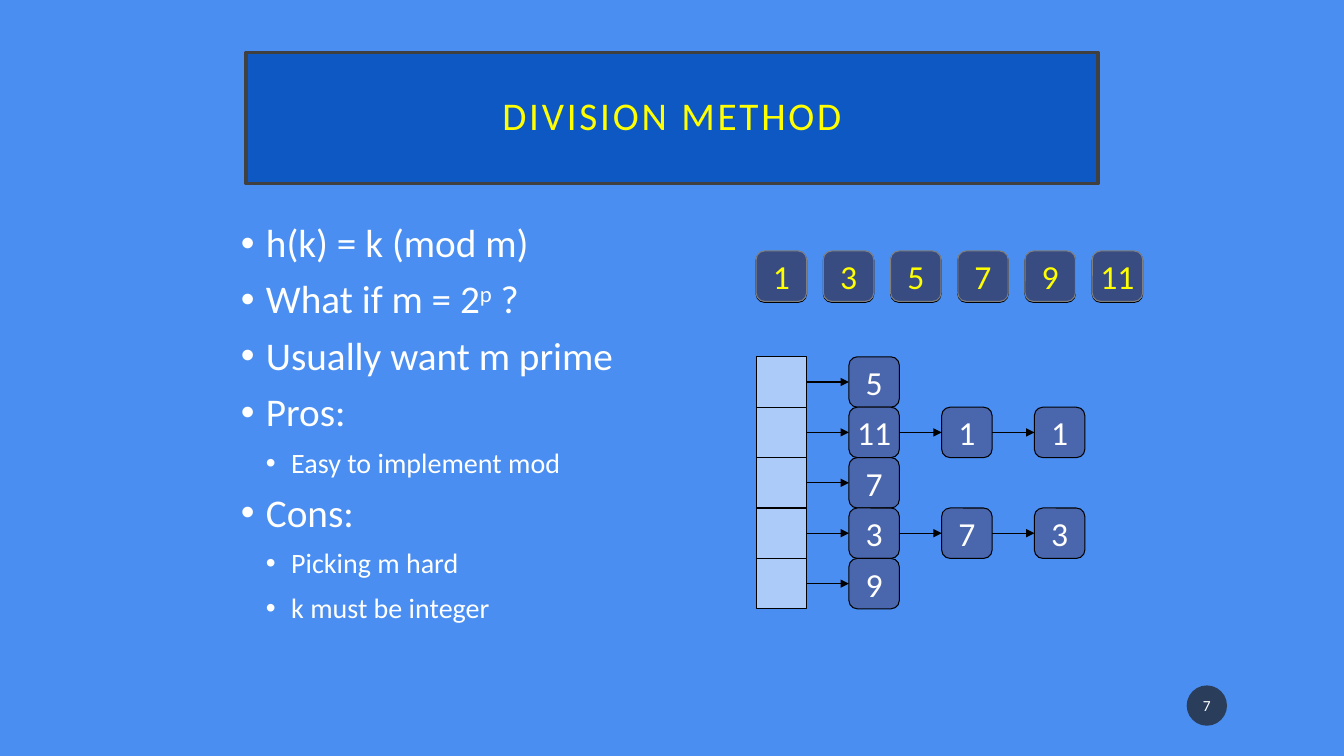
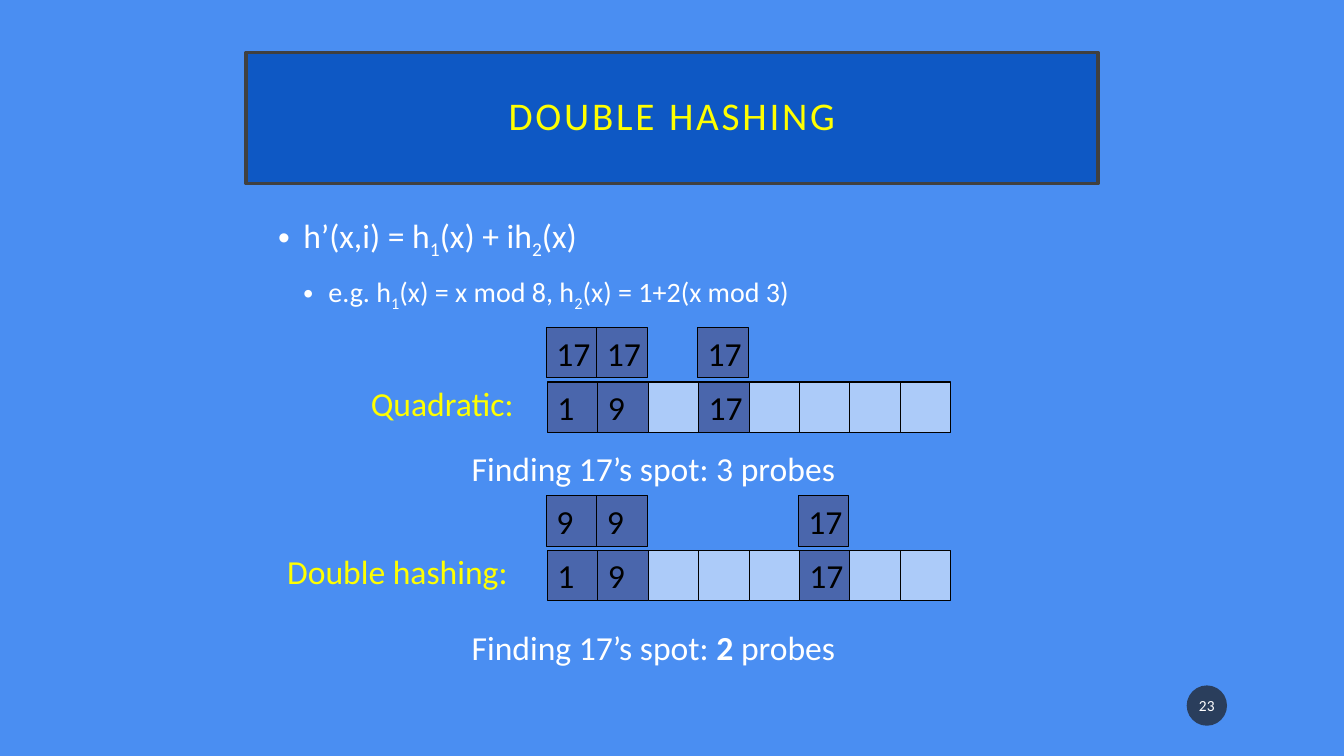
from dataclasses import dataclass

from lxml.etree import SubElement
from pptx import Presentation
from pptx.dml.color import RGBColor as Rgb
from pptx.enum.shapes import MSO_CONNECTOR as Connector, MSO_SHAPE as Shape
from pptx.enum.text import MSO_ANCHOR as Anchor, PP_ALIGN as Align
from pptx.oxml.ns import qn
from pptx.util import Inches, Pt


@dataclass(frozen=True)
class Theme:
    font: str = "Calibri"
    background: str = "4A8EF2"
    band: str = "0E58C4"
    band_edge: str = "404040"
    accent: str = "FFFF00"
    light: str = "FFFFFF"
    dark: str = "000000"
    empty_cell: str = "ACCBF9"
    filled_cell: str = "4A66AC"
    key: str = "384C81"
    key_edge: str = "7F7F7F"
    badge: str = "1D1D1D"
    large: int = 28
    normal: int = 24
    small: int = 20
    tiny: int = 11


THEME = Theme()
CELL = 0.5
BASELINES = {"sup": "30000", "sub": "-25000"}


def write(frame, *lines, size=THEME.normal, color=THEME.light, align=Align.LEFT,
          anchor=Anchor.TOP, margins=(0.1, 0.05, 0.1, 0.05), wrap=True,
          spacing=None, tracking=None, bullets=False):
    """Each line is a string or (level, run, ...); a run is a string or (string, mark)."""
    frame.word_wrap = wrap
    frame.vertical_anchor = anchor
    (frame.margin_left, frame.margin_top,
     frame.margin_right, frame.margin_bottom) = map(Inches, margins)
    for index, line in enumerate(lines):
        level, *runs = (0, line) if isinstance(line, str) else line
        paragraph = frame.add_paragraph() if index else frame.paragraphs[0]
        if bullets:
            props = paragraph._p.get_or_add_pPr()
            props.set("marL", str(Inches(0.25 * (level + 1))))
            props.set("indent", str(Inches(-0.25)))
            bullet_color = SubElement(props, qn("a:buClr"))
            SubElement(bullet_color, qn("a:srgbClr"), val=color)
            SubElement(props, qn("a:buFont"), typeface="Arial")
            SubElement(props, qn("a:buChar"), char="•")
            paragraph.level = level
            if index:
                paragraph.space_before = Pt(10)
        paragraph.alignment = align
        if spacing:
            paragraph.line_spacing = spacing
        for part in runs:
            words, mark = (part, None) if isinstance(part, str) else part
            run = paragraph.add_run()
            run.text = words
            run.font.name = THEME.font
            run.font.size = Pt(THEME.small if level else size)
            run.font.color.rgb = Rgb.from_string(color)
            if mark == "bold":
                run.font.bold = True
            if mark in BASELINES:
                run.font._element.set("baseline", BASELINES[mark])
            if tracking:
                run.font._element.set("spc", str(tracking * 100))


def add_box(slide, kind, left, top, width=CELL, height=CELL,
            fill=THEME.filled_cell, edge=THEME.dark, edge_width=0.75):
    box = slide.shapes.add_shape(kind, Inches(left), Inches(top), Inches(width), Inches(height))
    box.shadow.inherit = False
    box.fill.solid()
    box.fill.fore_color.rgb = Rgb.from_string(fill)
    if edge:
        box.line.color.rgb = Rgb.from_string(edge)
        box.line.width = Pt(edge_width)
    else:
        box.line.fill.background()
    return box


prs = Presentation()
prs.slide_width, prs.slide_height = Inches(13.33), Inches(7.5)
master_fill = prs.slide_master.background.fill
master_fill.solid()
master_fill.fore_color.rgb = Rgb.from_string(THEME.background)

# Title band and number badge of every slide
slides = []
for title, number in (("DIVISION METHOD", "7"), ("DOUBLE HASHING", "23")):
    slide = prs.slides.add_slide(prs.slide_layouts[6])
    band = add_box(slide, Shape.RECTANGLE, 2.44, 0.52, 8.45, 1.3,
                   THEME.band, THEME.band_edge, 2.5)
    write(band.text_frame, title, size=THEME.large, color=THEME.accent, align=Align.CENTER,
          anchor=Anchor.MIDDLE, margins=(0.2,) * 4, spacing=0.9, tracking=2)
    badge = add_box(slide, Shape.OVAL, 11.77, 6.8, 0.4, 0.4, THEME.badge, None)
    badge_color = badge.fill._xPr.find(qn("a:solidFill"))[0]
    SubElement(badge_color, qn("a:alpha"), val="70000")
    write(badge.text_frame, number, size=THEME.tiny, align=Align.CENTER,
          anchor=Anchor.MIDDLE, margins=(0.02, 0.05, 0.02, 0.05))
    slides.append(slide)
division, double_hashing = slides

# Division method: points, keys and chained hash table
points = division.shapes.add_textbox(Inches(2.29), Inches(2.17), Inches(4.96), Inches(4.75))
write(points.text_frame,
      "h(k) = k (mod m)",
      (0, "What if m = 2", ("p", "sup"), " ?"),
      "Usually want m prime",
      "Pros:",
      (1, "Easy to implement mod"),
      "Cons:",
      (1, "Picking m hard"),
      (1, "k must be integer"),
      size=THEME.large, spacing=0.9, bullets=True)

centered = dict(align=Align.CENTER, anchor=Anchor.MIDDLE, margins=(0,) * 4)
for index, key in enumerate(("1", "3", "5", "7", "9", "11")):
    left = 7.5 + index * 2 / 3
    add_box(division, Shape.ROUNDED_RECTANGLE, left, 2.5)
    key_box = add_box(division, Shape.ROUNDED_RECTANGLE, left, 2.49,
                      fill=THEME.key, edge=THEME.key_edge)
    write(key_box.text_frame, key, color=THEME.accent, **centered)

chains = (("5",), ("11", "1", "1"), ("7",), ("3", "7", "3"), ("9",))
for row, chain in enumerate(chains):
    top = 3.54 + row * CELL
    previous = add_box(division, Shape.RECTANGLE, 7.5, top, fill=THEME.empty_cell)
    for column, value in enumerate(chain, start=1):
        node = add_box(division, Shape.ROUNDED_RECTANGLE, 7.5 + column * 0.92, top)
        write(node.text_frame, value, **centered)
        arrow = division.shapes.add_connector(Connector.STRAIGHT, 0, 0, 0, 0)
        arrow.begin_connect(previous, 3)
        arrow.end_connect(node, 1)
        arrow.line.color.rgb = Rgb.from_string(THEME.dark)
        arrow.line.width = Pt(0.75)
        SubElement(arrow.line._get_or_add_ln(), qn("a:tailEnd"), type="triangle")
        SubElement(arrow._element.spPr, qn("a:effectLst"))
        previous = node

# Double hashing: formulas and the two probe sequences
formulas = double_hashing.shapes.add_textbox(
    Inches(2.66), Inches(2.08), Inches(8.87), Inches(1.65))
write(formulas.text_frame,
      (0, "h’(x,i) = h", ("1", "sub"), "(x) + ih", ("2", "sub"), "(x)"),
      (1, "e.g. h", ("1", "sub"), "(x) = x mod 8, h", ("2", "sub"), "(x) = 1+2(x mod 3)"),
      bullets=True)

# label, label left, label width, top of probes, stored values, probes, result, result top
schemes = (
    ("Quadratic:", 3.58, 1.63, 3.25, {0: "1", 1: "9", 3: "17"},
     {0: "17", 1: "17", 3: "17"}, "3", 4.39),
    ("Double hashing:", 2.75, 2.41, 4.92, {0: "1", 1: "9", 5: "17"},
     {0: "9", 1: "9", 5: "17"}, ("2", "bold"), 6.17),
)
for label, label_left, label_width, top, stored, probes, count, result_top in schemes:
    cells = [(5.43 + slot * CELL, top + 0.54, stored.get(slot)) for slot in range(8)]
    cells += [(5.42 + slot * CELL, top, value) for slot, value in probes.items()]
    for left, cell_top, value in cells:
        cell = add_box(double_hashing, Shape.RECTANGLE, left, cell_top,
                       fill=THEME.filled_cell if value else THEME.empty_cell)
        if value:
            write(cell.text_frame, value, color=THEME.dark, anchor=Anchor.MIDDLE,
                  margins=(0.1, 0, 0, 0))
    captions = (
        (label_left, top + 0.5, label_width, label, THEME.accent),
        (4.58, result_top, 3.84, (0, "Finding 17’s spot: ", count, " probes"), THEME.light),
    )
    for left, caption_top, width, words, color in captions:
        caption = double_hashing.shapes.add_textbox(
            Inches(left), Inches(caption_top), Inches(width), Inches(0.51))
        write(caption.text_frame, words, color=color, wrap=False)

prs.save("out.pptx")
